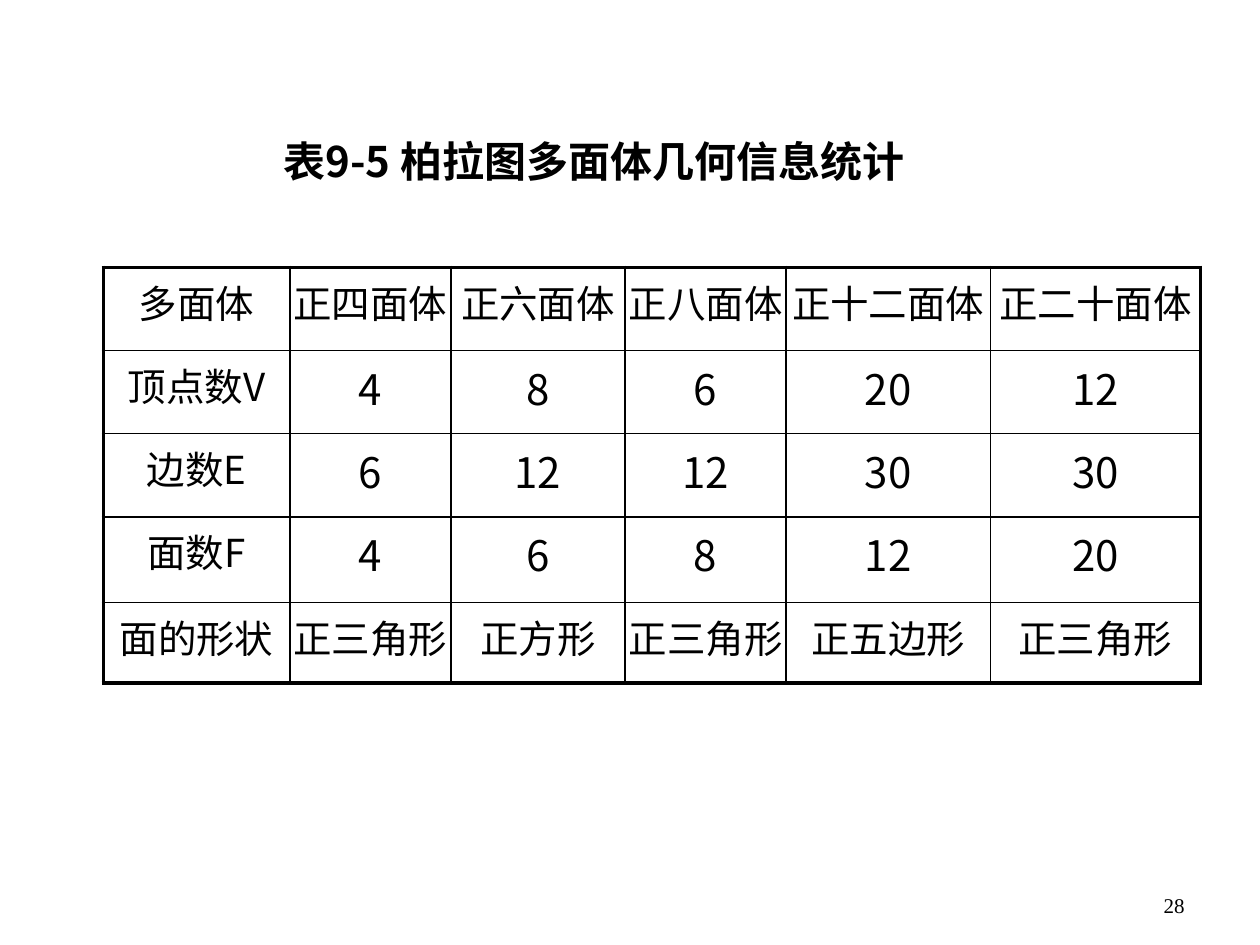
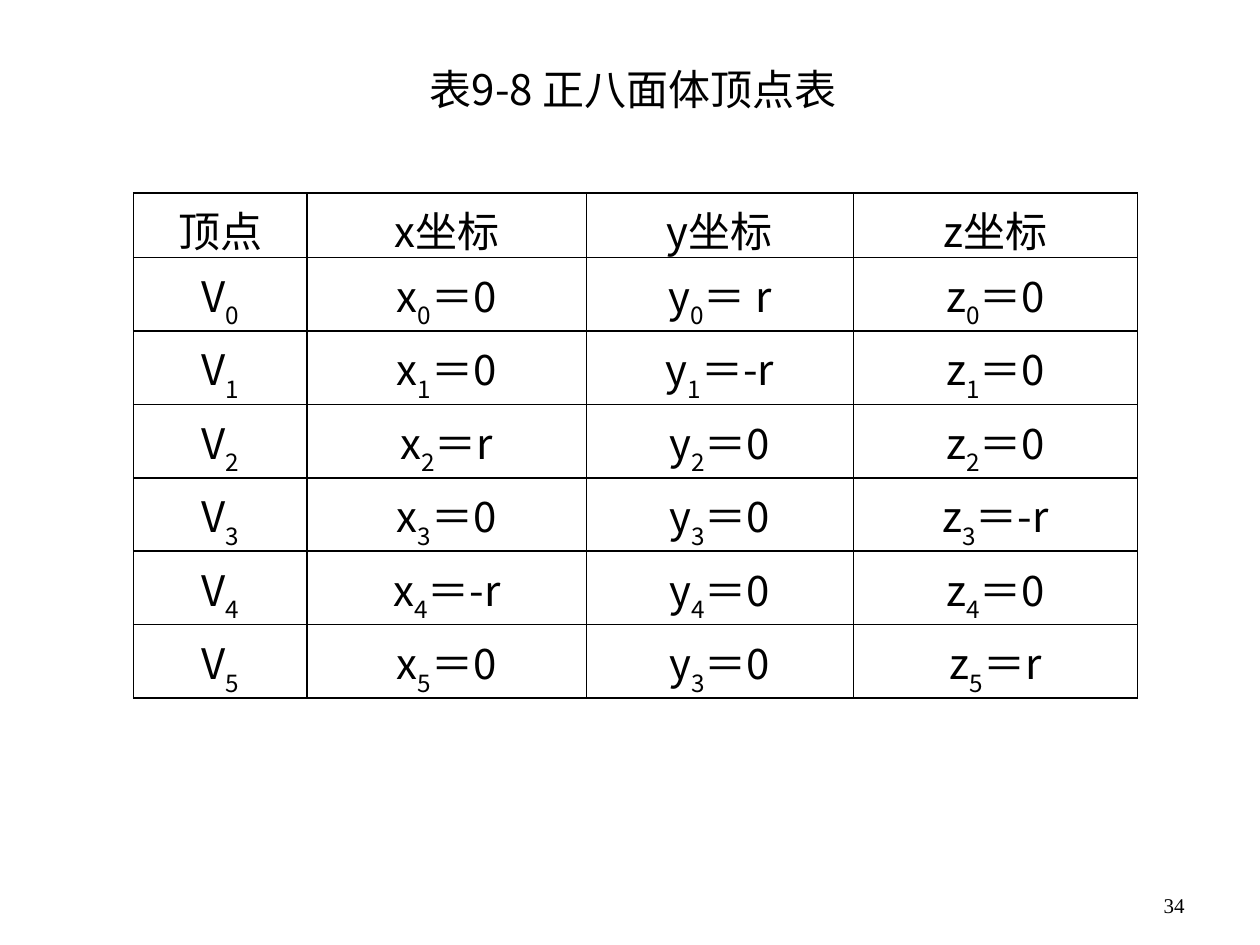
from dataclasses import dataclass

from lxml.etree import SubElement
from pptx import Presentation
from pptx.dml.color import RGBColor
from pptx.enum.text import MSO_ANCHOR, MSO_AUTO_SIZE, PP_ALIGN
from pptx.oxml.ns import qn
from pptx.util import Inches, Pt

WIDTH, HEIGHT = 10, 7.5


@dataclass(frozen=True)
class Theme:
    ink: str = "000000"
    font: str = "Noto Sans CJK SC"
    number_font: str = "Times New Roman"
    title: int = 24
    value: int = 24
    label: int = 22
    number: int = 12
    rule: float = 1
    subscript: int = -30000


THEME = Theme()


@dataclass(frozen=True)
class Box:
    """Left, top, width and height as shares of the slide."""
    x: float
    y: float
    w: float
    h: float

    def lengths(self):
        return (Inches(self.x * WIDTH), Inches(self.y * HEIGHT),
                Inches(self.w * WIDTH), Inches(self.h * HEIGHT))


NUMBER_BOX = Box(0.717, 0.911, 0.233, 0.067)


# Shared text and line helpers
def format_run(r, size, font=THEME.font, bold=False):
    r.font.size, r.font.name, r.font.bold = Pt(size), font, bold
    r.font.color.rgb = RGBColor.from_string(THEME.ink)
    SubElement(r._r.get_or_add_rPr(), qn("a:ea"), typeface=font)


def draw_borders(cell, widths):
    """Widths run left, right, top, bottom."""
    tc_pr = cell._tc.get_or_add_tcPr()
    for i, (side, width) in enumerate(zip("LRTB", widths)):
        ln = SubElement(tc_pr, qn(f"a:ln{side}"), w=str(Pt(width)))
        fill = SubElement(ln, qn("a:solidFill"))
        SubElement(fill, qn("a:srgbClr"), val=THEME.ink)
        tc_pr.insert(i, ln)


# Title and page number
def add_title(s, box, text, align, bold=False):
    sp = s.shapes.title
    sp.left, sp.top, sp.width, sp.height = box.lengths()
    tf = sp.text_frame
    tf.text, tf.word_wrap = text, True
    tf.auto_size, tf.vertical_anchor = MSO_AUTO_SIZE.NONE, MSO_ANCHOR.TOP
    p = tf.paragraphs[0]
    p.alignment = align
    format_run(p.runs[0], THEME.title, bold=bold)


def add_page_number(s, number):
    tf = s.shapes.add_textbox(*NUMBER_BOX.lengths()).text_frame
    tf.text, tf.word_wrap = str(number), True
    tf.vertical_anchor = MSO_ANCHOR.BOTTOM
    p = tf.paragraphs[0]
    p.alignment = PP_ALIGN.RIGHT
    format_run(p.runs[0], THEME.number, THEME.number_font)


# Ruled table: each cell is a string or (letter, subscript, rest)
def fill_cell(cell, content, size):
    p = cell.text_frame.paragraphs[0]
    p.alignment = PP_ALIGN.CENTER
    parts = (content,) if isinstance(content, str) else content
    for i, part in enumerate(parts):
        if part:
            r = p.add_run()
            r.text = part
            format_run(r, size)
            if i == 1:
                r._r.get_or_add_rPr().set("baseline", str(THEME.subscript))


def add_ruled_table(s, box, rows, columns, heights, outer, size_of, inset=0.1):
    """Columns and heights are weights that share out the box."""
    x, y, w, h = box.lengths()
    table = s.shapes.add_table(len(rows), len(columns), x, y, w, h).table
    table.first_row = table.horz_banding = False
    for column, weight in zip(table.columns, columns):
        column.width = int(w * weight / sum(columns))
    for row, weight in zip(table.rows, heights):
        row.height = int(h * weight / sum(heights))
    left, right, top, bottom = outer
    last_row, last_column = len(rows) - 1, len(columns) - 1
    for i, row in enumerate(rows):
        for j, content in enumerate(row):
            cell = table.cell(i, j)
            cell.margin_left = cell.margin_right = Inches(inset)
            cell.fill.background()
            fill_cell(cell, content, size_of(i, j))
            draw_borders(cell, (left if j == 0 else THEME.rule,
                                right if j == last_column else THEME.rule,
                                top if i == 0 else THEME.rule,
                                bottom if i == last_row else THEME.rule))


# Slides
def add_slide(prs, number):
    s = prs.slides.add_slide(prs.slide_layouts[5])
    add_page_number(s, number)
    return s


SOLIDS = [
    ("多面体", "正四面体", "正六面体", "正八面体", "正十二面体", "正二十面体"),
    ("顶点数V", "4", "8", "6", "20", "12"),
    ("边数E", "6", "12", "12", "30", "30"),
    ("面数F", "4", "6", "8", "12", "20"),
    ("面的形状", "正三角形", "正方形", "正三角形", "正五边形", "正三角形"),
]


def build_solids_slide(prs):
    s = add_slide(prs, 28)
    add_title(s, Box(0.215, 0.137, 0.541, 0.067),
              "表9-5 柏拉图多面体几何信息统计", PP_ALIGN.LEFT, bold=True)

    def size_of(i, j):
        is_value = j > 0 and 0 < i < len(SOLIDS) - 1
        return THEME.value if is_value else THEME.label

    add_ruled_table(s, Box(0.082, 0.283, 0.871, 0.44), SOLIDS,
                    columns=(1.48, 1.28, 1.38, 1.28, 1.62, 1.67),
                    heights=(0.66, 0.66, 0.66, 0.68, 0.64),
                    outer=(2.25,) * 4, size_of=size_of, inset=0.02)


# Coordinates of the octahedron's vertices, and the index shown for each y
VERTICES = [("0", " r", "0"), ("0", "-r", "0"), ("r", "0", "0"),
            ("0", "0", "-r"), ("-r", "0", "0"), ("0", "0", "r")]
Y_INDEX = "012343"


def vertex_rows():
    yield ("顶点", *(f"{axis}坐标" for axis in "xyz"))
    for i, point in enumerate(VERTICES):
        indices = (str(i), Y_INDEX[i], str(i))
        yield (("V", str(i), ""),
               *((axis, index, f"＝{value}")
                 for axis, index, value in zip("xyz", indices, point)))


def build_vertices_slide(prs):
    s = add_slide(prs, 34)
    add_title(s, Box(0.205, 0.06, 0.595, 0.067),
              "表9-8 正八面体顶点表", PP_ALIGN.CENTER)
    rows = list(vertex_rows())
    add_ruled_table(s, Box(0.106, 0.204, 0.797, 0.535), rows,
                    columns=(1.38, 2.22, 2.12, 2.26),
                    heights=(0.51,) + (0.58,) * len(VERTICES),
                    outer=(0.75, 0.75, 1, 1),
                    size_of=lambda i, j: THEME.value)


def main():
    prs = Presentation()
    prs.slide_width, prs.slide_height = Inches(WIDTH), Inches(HEIGHT)
    build_solids_slide(prs)
    build_vertices_slide(prs)
    prs.save("out.pptx")


if __name__ == "__main__":
    main()
